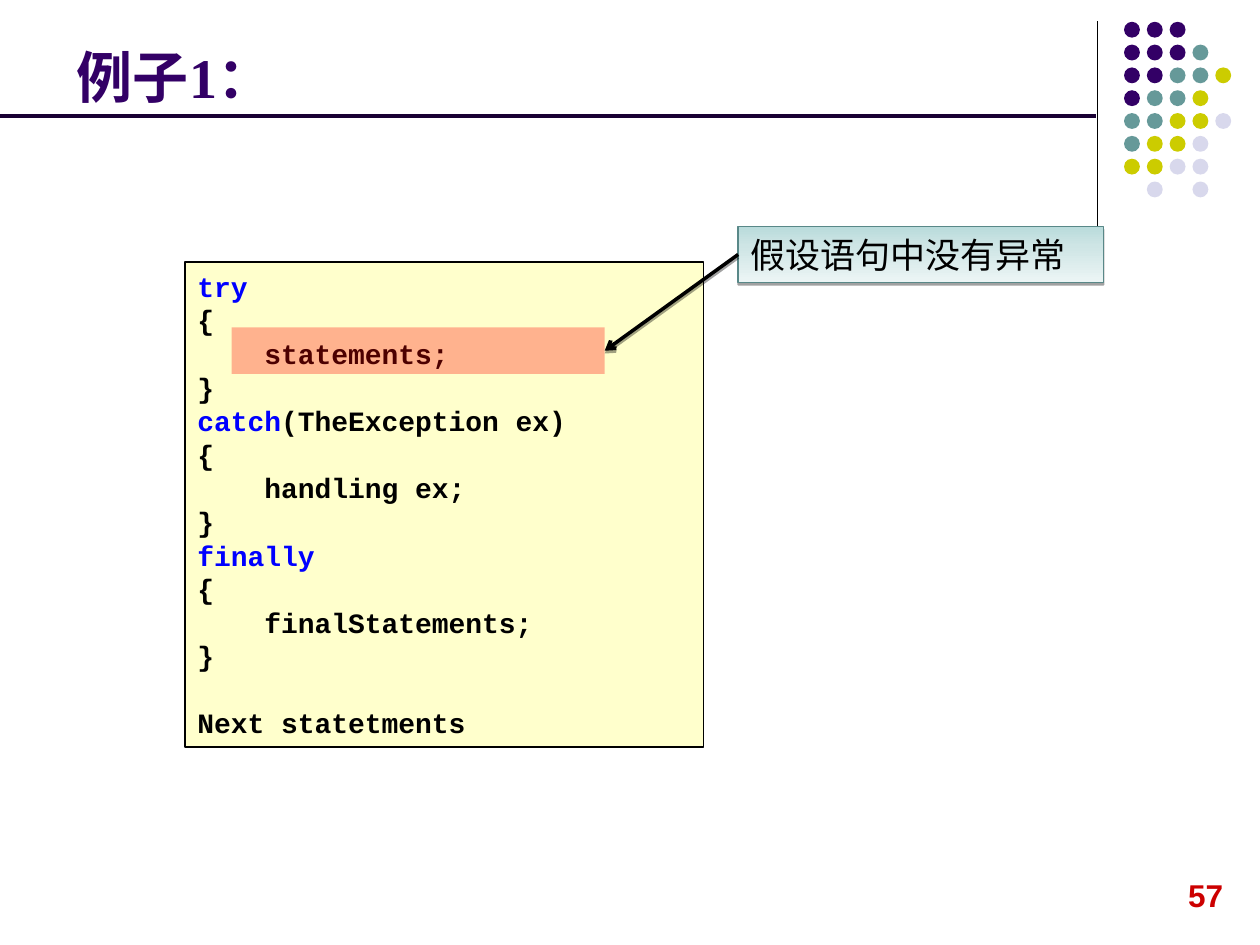
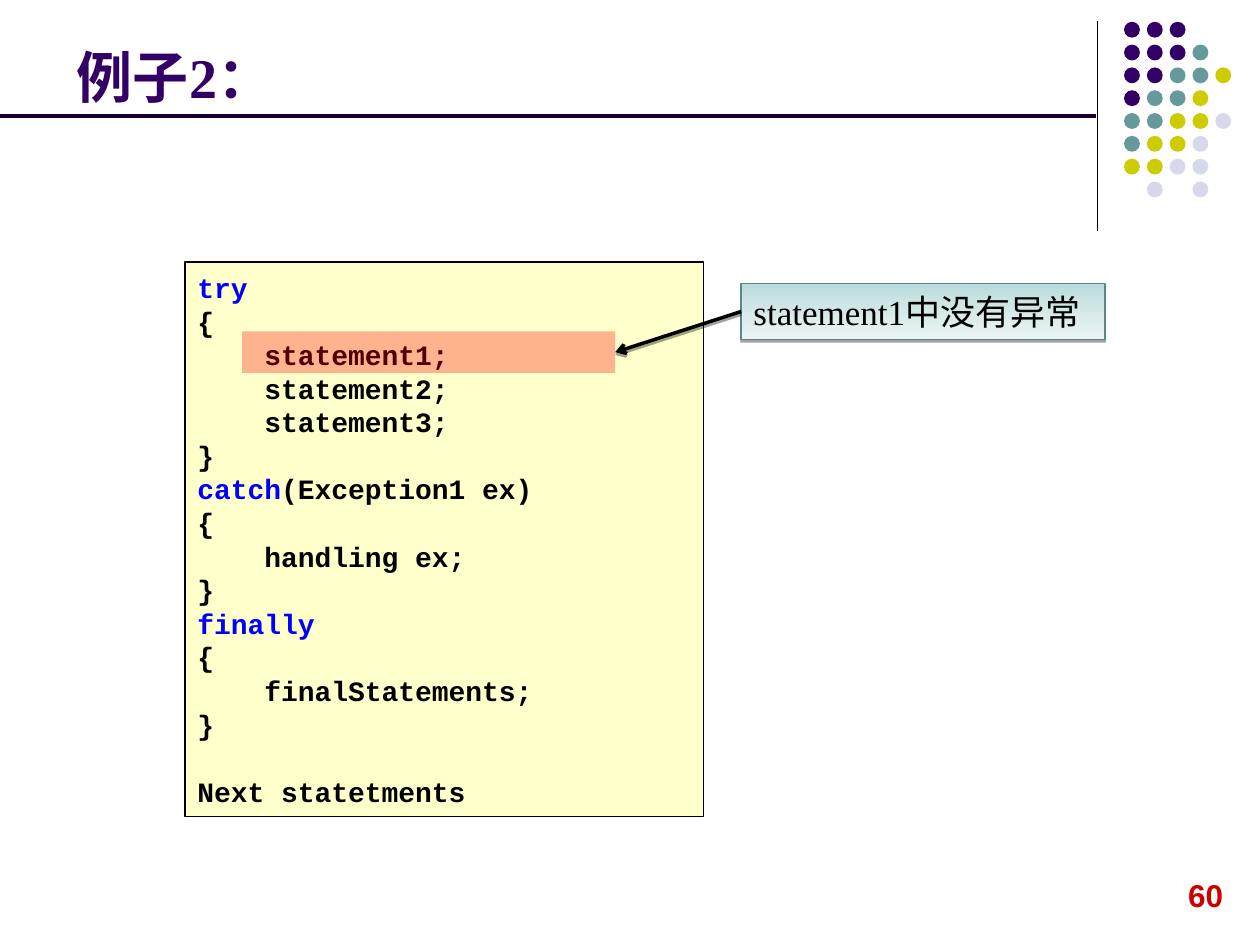
"""Builds two slides that explain exception handling with annotated code."""
from dataclasses import dataclass

from lxml.etree import SubElement
from pptx import Presentation
from pptx.dml.color import RGBColor
from pptx.enum.shapes import MSO_CONNECTOR, MSO_SHAPE
from pptx.enum.text import MSO_ANCHOR, PP_ALIGN
from pptx.oxml.ns import qn
from pptx.util import Cm, Pt


@dataclass(frozen=True)
class Theme:
    """Colours, fonts and type sizes of the deck."""
    black: str = "000000"
    title: str = "330066"
    rule: str = "190033"
    number: str = "CC0000"
    keyword: str = "0000FF"
    code_fill: str = "FFFFCC"
    highlight: str = "FF0000"
    callout_line: str = "598888"
    callout_stops: tuple = ((0, "B9DBDB"), (35, "CEE5E5"), (100, "ECF5F5"))
    dots: tuple = (("P", "330066"), ("T", "669999"), ("Y", "CCCC00"), ("L", "D8D8EC"))
    serif: str = "Times New Roman"
    sans: str = "Arial"
    mono: str = "Courier New"
    chinese: str = "Noto Sans CJK SC"
    title_size: float = 32
    callout_size: float = 20
    number_size: float = 18
    code_size: float = 16
    code_leading: float = 19.2


DOT_ROWS = ("PPP", "PPPT", "PPTTY", "PTTY", "TTYYL", "TYYL", "YYLL", ".L.L")
KEYWORDS = ("try", "catch", "finally")
EXAMPLES = (
    dict(title="例子1：", number="57", body=("statements;",), exception="TheException",
         code_height=9.78, highlight=(4.67, 6.6, 7.52, 0.94),
         note="假设语句中没有异常", note_font=Theme.chinese, callout=(14.88, 4.57, 7.37, 1.12)),
    dict(title="例子2：", number="60", body=("statement1;", "statement2;", "statement3;"),
         exception="Exception1", code_height=11.18, highlight=(4.88, 6.68, 7.52, 0.84),
         note="statement1中没有异常", note_font=Theme.serif, callout=(14.94, 5.72, 7.34, 1.12)),
)


def write(paragraph, text, font, size, color, bold=False):
    """Adds a formatted run to a paragraph."""
    run = paragraph.add_run()
    run.text = text
    run.font.name = font
    run.font.size = Pt(size)
    run.font.bold = bold
    run.font.color.rgb = RGBColor.from_string(color)
    SubElement(run.font._element, qn("a:ea"), typeface=Theme.chinese)


def add_color(parent, color, opacity=100):
    """Adds a colour element with its opacity in percent."""
    element = SubElement(parent, qn("a:srgbClr"), val=color)
    if opacity < 100:
        SubElement(element, qn("a:alpha"), val=str(opacity * 1000))


def add_effects(properties, shadow):
    """Gives shape properties an effect list, with a low shadow if asked."""
    effects = SubElement(properties, qn("a:effectLst"))
    if shadow:
        outer = SubElement(effects, qn("a:outerShdw"), blurRad="0", dist="20000",
                           dir="5400000", rotWithShape="0")
        add_color(outer, Theme.black, 37)


def code_lines(body, exception):
    """Returns the lines of a try, catch and finally sample."""
    blocks = (("try", body), (f"catch({exception} ex)", ("handling ex;",)),
              ("finally", ("finalStatements;",)))
    lines = []
    for header, statements in blocks:
        lines += [header, "{", *("    " + statement for statement in statements), "}"]
    return lines


class Deck:
    """Holds the theme and the current slide."""

    def __init__(self, theme):
        self.theme = theme
        self.presentation = Presentation()
        self.presentation.slide_width = Cm(25.4)
        self.presentation.slide_height = Cm(19.05)
        self.slide = None

    def start_slide(self, title, number):
        """Adds a slide with the shared decoration, title and number."""
        self.slide = self.presentation.slides.add_slide(self.presentation.slide_layouts[6])
        self.line((22.12, 0.43), (22.12, 4.65), self.theme.black, 0.75)
        self.dots()
        self.text_box((23.7, 17.53, 1.22, 1.02), number, wrap=False, font=self.theme.sans,
                      size=self.theme.number_size, color=self.theme.number, bold=True)
        self.text_box((1.3, 0.53, 20.96, 1.8), title, font=self.theme.serif,
                      size=self.theme.title_size, color=self.theme.title, bold=True)

    def text_box(self, box, text, wrap=True, **style):
        """Adds a line of text that sits at the bottom of its box."""
        frame = self.slide.shapes.add_textbox(*map(Cm, box)).text_frame
        frame.word_wrap = wrap
        frame.vertical_anchor = MSO_ANCHOR.BOTTOM
        write(frame.paragraphs[0], text, **style)

    def shape(self, box, fill, outline=None, kind=MSO_SHAPE.RECTANGLE, parent=None):
        """Adds a flat preset shape."""
        shape = (parent or self.slide).shapes.add_shape(kind, *map(Cm, box))
        shape.shadow.inherit = False
        shape.fill.solid()
        shape.fill.fore_color.rgb = RGBColor.from_string(fill)
        if outline:
            shape.line.color.rgb = RGBColor.from_string(outline)
            shape.line.width = Pt(0.75)
        else:
            shape.line.fill.background()
        shape.text_frame.vertical_anchor = MSO_ANCHOR.MIDDLE
        shape.text_frame.paragraphs[0].alignment = PP_ALIGN.LEFT
        return shape

    def dots(self):
        """Adds the corner grid of coloured dots."""
        group = type("Holder", (), {"shapes": self.slide.shapes.add_group_shape().shapes})
        colors = dict(self.theme.dots)
        for row, pattern in enumerate(DOT_ROWS):
            for column, letter in enumerate(pattern):
                if letter in colors:
                    box = (22.66 + 0.46 * column, 0.44 + 0.46 * row, 0.32, 0.32)
                    self.shape(box, colors[letter], kind=MSO_SHAPE.OVAL, parent=group)

    def line(self, start, end, color, width, arrow=False):
        """Adds a straight line, with a shadow if it is an arrow."""
        line = self.slide.shapes.add_connector(
            MSO_CONNECTOR.STRAIGHT, *map(Cm, (*start, *end)))
        line.line.color.rgb = RGBColor.from_string(color)
        line.line.width = Pt(width)
        properties = line._element.spPr
        if arrow:
            SubElement(properties.find(qn("a:ln")), qn("a:tailEnd"), type="arrow")
        add_effects(properties, arrow)
        return line

    def code(self, box, lines, closing):
        """Adds a code panel whose last line stands apart."""
        frame = self.shape(box, self.theme.code_fill, self.theme.black).text_frame
        style = dict(font=self.theme.mono, size=self.theme.code_size, bold=True)
        for index, text in enumerate([*lines, closing]):
            paragraph = frame.add_paragraph() if index else frame.paragraphs[0]
            paragraph.alignment = PP_ALIGN.LEFT
            paragraph.line_spacing = Pt(self.theme.code_leading)
            keyword = next((word for word in KEYWORDS if text.startswith(word)), "")
            rest = text[len(keyword):]
            if keyword:
                write(paragraph, keyword, color=self.theme.keyword, **style)
            if rest:
                write(paragraph, rest, color=self.theme.black, **style)
        paragraph.space_before = Pt(self.theme.code_leading)

    def highlight(self, box):
        """Adds a translucent marker over a statement."""
        shape = self.shape(box, self.theme.highlight)
        color = shape._element.spPr.find(qn("a:solidFill"))
        color.clear()
        add_color(color, self.theme.highlight, 30)
        return shape

    def callout(self, box, text, font):
        """Adds a shaded note."""
        shape = self.shape(box, self.theme.code_fill, self.theme.callout_line)
        shape.fill.gradient()
        shape.fill.gradient_angle = 270
        properties = shape._element.spPr
        stops = properties.find(qn("a:gradFill")).find(qn("a:gsLst"))
        stops.clear()
        for position, color in self.theme.callout_stops:
            add_color(SubElement(stops, qn("a:gs"), pos=str(position * 1000)), color)
        properties.remove(properties.find(qn("a:effectLst")))
        add_effects(properties, True)
        write(shape.text_frame.paragraphs[0], text, font=font,
              size=self.theme.callout_size, color=self.theme.black)
        return shape

    def arrow(self, source, target):
        """Joins the left side of one shape to the right side of another."""
        arrow = self.line((0, 0), (1, 1), self.theme.black, 2, arrow=True)
        arrow.begin_connect(source, 1)
        arrow.end_connect(target, 3)


def main():
    """Builds and saves the deck."""
    deck = Deck(Theme())
    for example in EXAMPLES:
        deck.start_slide(example["title"], example["number"])
        deck.code((3.73, 5.28, 10.46, example["code_height"]),
                  code_lines(example["body"], example["exception"]), "Next statetments")
        statement = deck.highlight(example["highlight"])
        note = deck.callout(example["callout"], example["note"], example["note_font"])
        deck.arrow(note, statement)
        deck.line((0, 2.34), (22.1, 2.34), deck.theme.rule, 2.25)
    deck.presentation.save("out.pptx")


if __name__ == "__main__":
    main()
